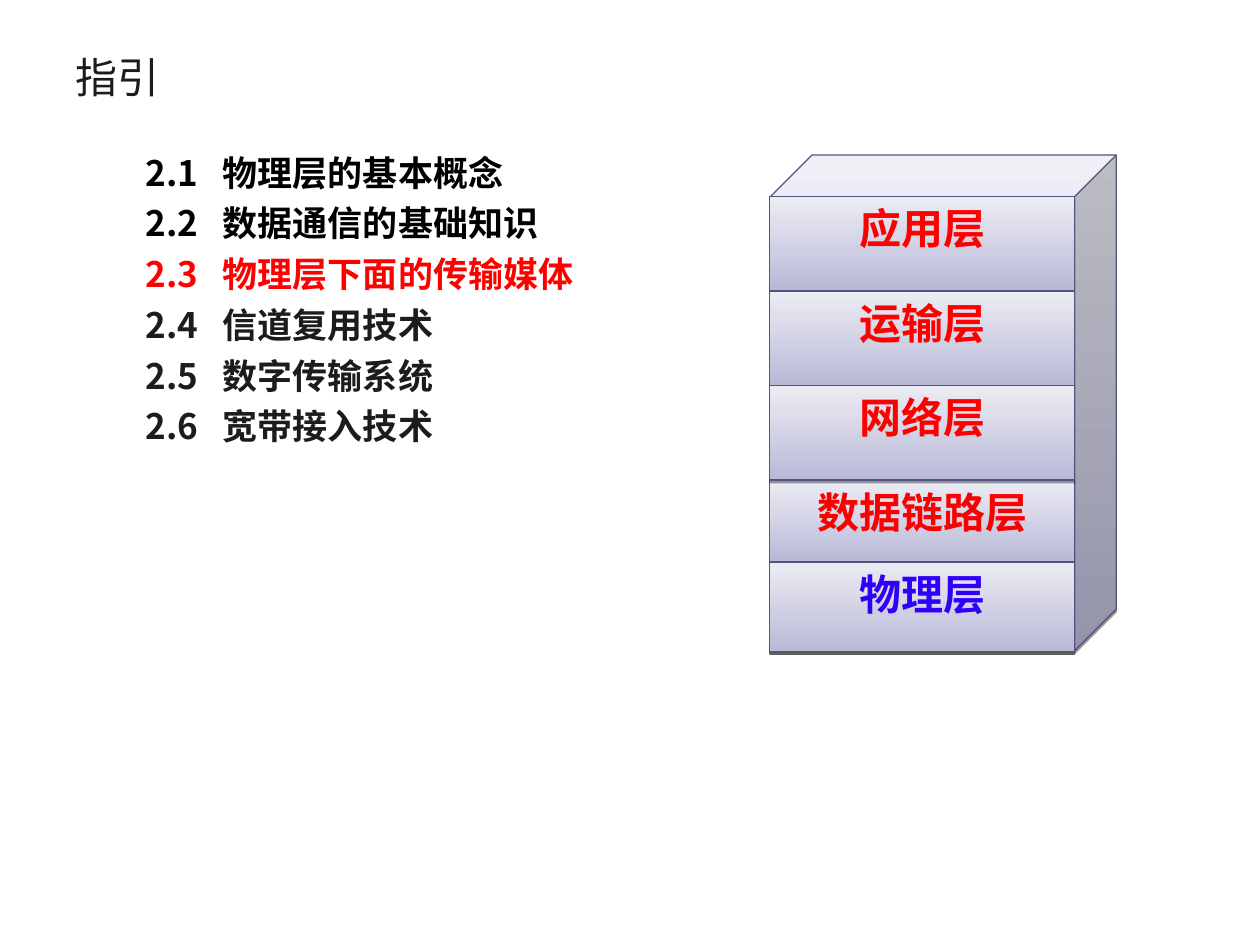
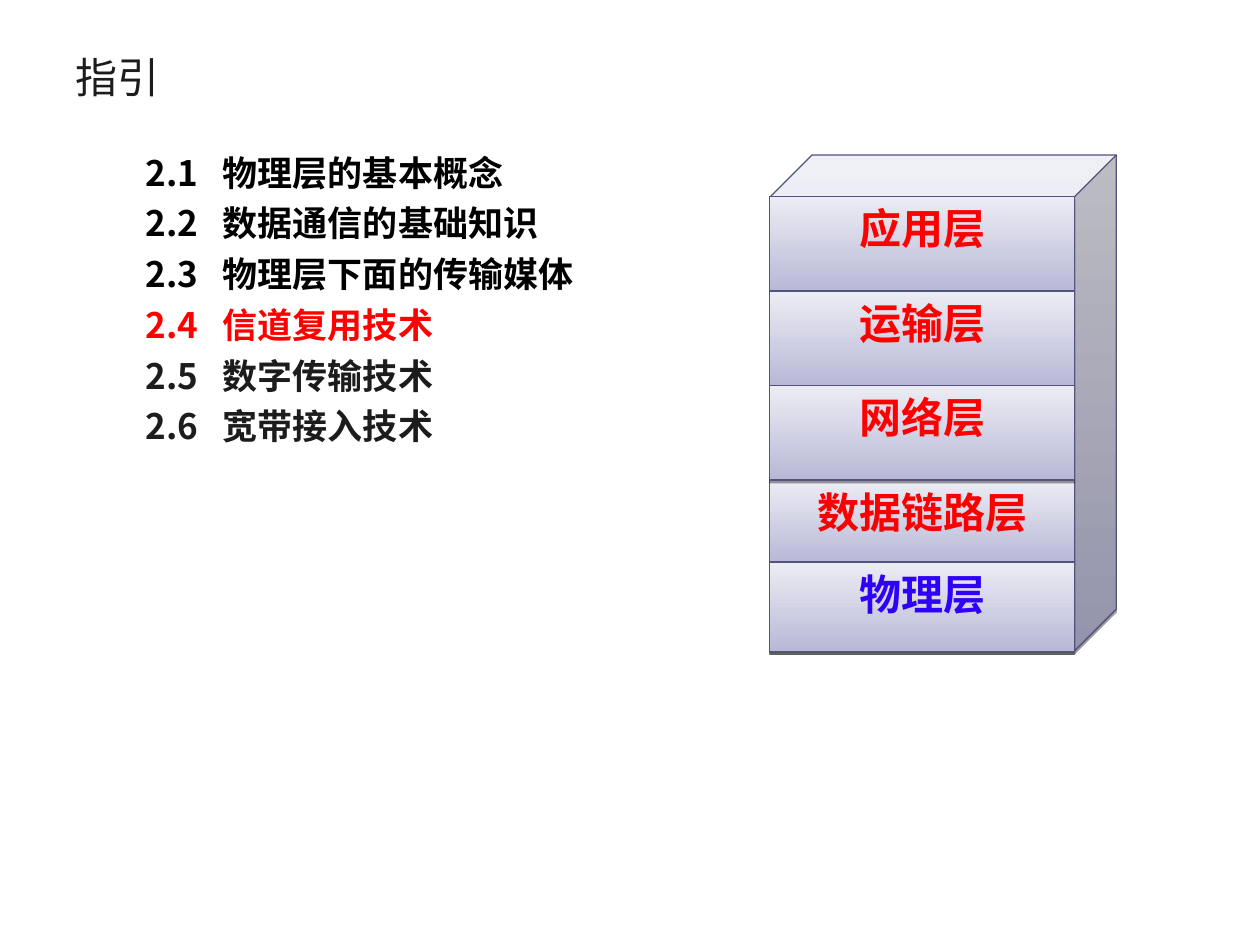
from dataclasses import dataclass

from lxml.etree import SubElement
from pptx import Presentation
from pptx.dml.color import RGBColor
from pptx.enum.shapes import MSO_CONNECTOR, MSO_SHAPE
from pptx.enum.text import MSO_ANCHOR, PP_ALIGN
from pptx.oxml.ns import qn
from pptx.util import Inches, Pt


@dataclass(frozen=True)
class Theme:
    font: str = "Noto Sans CJK SC"
    title_size: int = 24
    topic_size: int = 20
    topic_gap: int = 5
    layer_size: int = 24
    text: str = "1C1C1C"
    done: str = "000000"
    current: str = "FF0000"
    upper_layer: str = "FF0000"
    link_layer: str = "FA0000"
    physical_layer: str = "3001F9"
    face_dark: str = "B9B9D7"
    face_light: str = "ECECF4"
    edge: str = "535380"
    edge_width: float = 0.75
    shadow: str = "000000"


THEME = Theme()

# Front face of the layer stack, in inches
FACE_LEFT, FACE_WIDTH = 6.11, 2.42
FACE_RIGHT = FACE_LEFT + FACE_WIDTH

# Name, top, height, text colour, heights of the dividing lines,
# lower end of the side lines; back to front
LAYERS = [
    ("应用层", 1.56, 0.75, THEME.upper_layer, [2.31], 2.31),
    ("运输层", 2.31, 0.75, THEME.upper_layer, [3.06], 3.06),
    ("数据链路层", 3.81, 0.65, THEME.link_layer, [3.81, 4.98], 4.98),
    ("网络层", 3.06, 0.75, THEME.upper_layer, [], 3.81),
    ("物理层", 4.46, 0.71, THEME.physical_layer, [], None),
]

TOPICS = ["物理层的基本概念", "数据通信的基础知识", "物理层下面的传输媒体",
          "信道复用技术", "数字传输系统", "宽带接入技术"]


def set_all(obj, values):
    for name, value in values.items():
        setattr(obj, name, value)


def add_run(p, text, size, color, bold=False):
    r = p.add_run()
    r.text = text
    set_all(r.font, {"name": THEME.font, "size": Pt(size), "bold": bold})
    r.font.color.rgb = RGBColor.from_string(color)
    SubElement(r.font._element, qn("a:ea"), typeface=THEME.font)


def add_text_box(s, left, top, width, height, anchor):
    sp = s.shapes.add_textbox(*map(Inches, (left, top, width, height)))
    tf = sp.text_frame
    set_all(tf, {"word_wrap": True, "vertical_anchor": anchor})
    return tf


def add_title(s, text):
    tf = add_text_box(s, 0.5, 0.3, 9, 0.61, MSO_ANCHOR.MIDDLE)
    add_run(tf.paragraphs[0], text, THEME.title_size, THEME.text)


def add_topics(s, topics, current):
    """List the chapter sections; the current one stands out."""
    tf = add_text_box(s, 0.67, 1.15, 8.5, 5.12, MSO_ANCHOR.TOP)
    for n, topic in enumerate(topics, 1):
        p = tf.paragraphs[0] if n == 1 else tf.add_paragraph()
        if n > 1:
            p.space_before = Pt(THEME.topic_gap)
        # Hanging indent: the tab lines up the topic names
        pPr = p._p.get_or_add_pPr()
        pPr.set("marL", str(Inches(1)))
        pPr.set("indent", str(Inches(-0.61)))
        color = (THEME.done if n < current else
                 THEME.current if n == current else THEME.text)
        add_run(p, f"2.{n}\t{topic}", THEME.topic_size, color, bold=True)


def style_line(line):
    line.color.rgb = RGBColor.from_string(THEME.edge)
    line.width = Pt(THEME.edge_width)


def add_block(group, kind, left, top, width, height):
    """Add a shaded block with a thin edge and a short shadow below."""
    sp = group.shapes.add_shape(kind, *map(Inches, (left, top, width, height)))
    sp.fill.gradient()
    sp.fill.gradient_angle = 90
    for stop, color in zip(sp.fill.gradient_stops,
                           (THEME.face_dark, THEME.face_light)):
        stop.color.rgb = RGBColor.from_string(color)
    style_line(sp.line)
    sp.shadow.inherit = False
    effects = sp._element.spPr.find(qn("a:effectLst"))
    shadow = SubElement(effects, qn("a:outerShdw"), blurRad="0",
                        dist=str(Pt(1.6)), dir="5400000", rotWithShape="0")
    clr = SubElement(shadow, qn("a:srgbClr"), val=THEME.shadow)
    SubElement(clr, qn("a:alpha"), val="38000")
    return sp


def add_edge(group, x1, y1, x2, y2):
    c = group.shapes.add_connector(MSO_CONNECTOR.STRAIGHT,
                                   *map(Inches, (x1, y1, x2, y2)))
    style_line(c.line)
    SubElement(c._element.spPr, qn("a:effectLst"))


def add_layer(group, name, top, height, color, dividers, sides_end):
    sp = add_block(group, MSO_SHAPE.RECTANGLE, FACE_LEFT, top, FACE_WIDTH, height)
    tf = sp.text_frame
    set_all(tf, {"word_wrap": True, "vertical_anchor": MSO_ANCHOR.TOP})
    p = tf.paragraphs[0]
    p.alignment = PP_ALIGN.CENTER
    add_run(p, name, THEME.layer_size, color, bold=True)
    for y in dividers:
        add_edge(group, FACE_LEFT, y, FACE_RIGHT, y)
    if sides_end:
        for x in (FACE_LEFT, FACE_RIGHT):
            add_edge(group, x, top, x, sides_end)


def add_layer_stack(s):
    group = s.shapes.add_group_shape()
    cube = add_block(group, MSO_SHAPE.CUBE, FACE_LEFT, 1.23, 2.75, 3.94)
    cube.adjustments[0] = 0.122
    for layer in LAYERS:
        add_layer(group, *layer)


def add_guide_slide(prs, topics, current):
    s = prs.slides.add_slide(prs.slide_layouts[6])
    add_title(s, "指引")
    add_topics(s, topics, current)
    add_layer_stack(s)


def main():
    prs = Presentation()
    set_all(prs, {"slide_width": Inches(10), "slide_height": Inches(7.5)})

    # Guide to section 2.3
    add_guide_slide(prs, TOPICS, current=3)

    # Guide to section 2.4, where section 2.5 has another name
    add_guide_slide(prs, TOPICS[:4] + ["数字传输技术"] + TOPICS[5:], current=4)

    prs.save("out.pptx")


if __name__ == "__main__":
    main()
